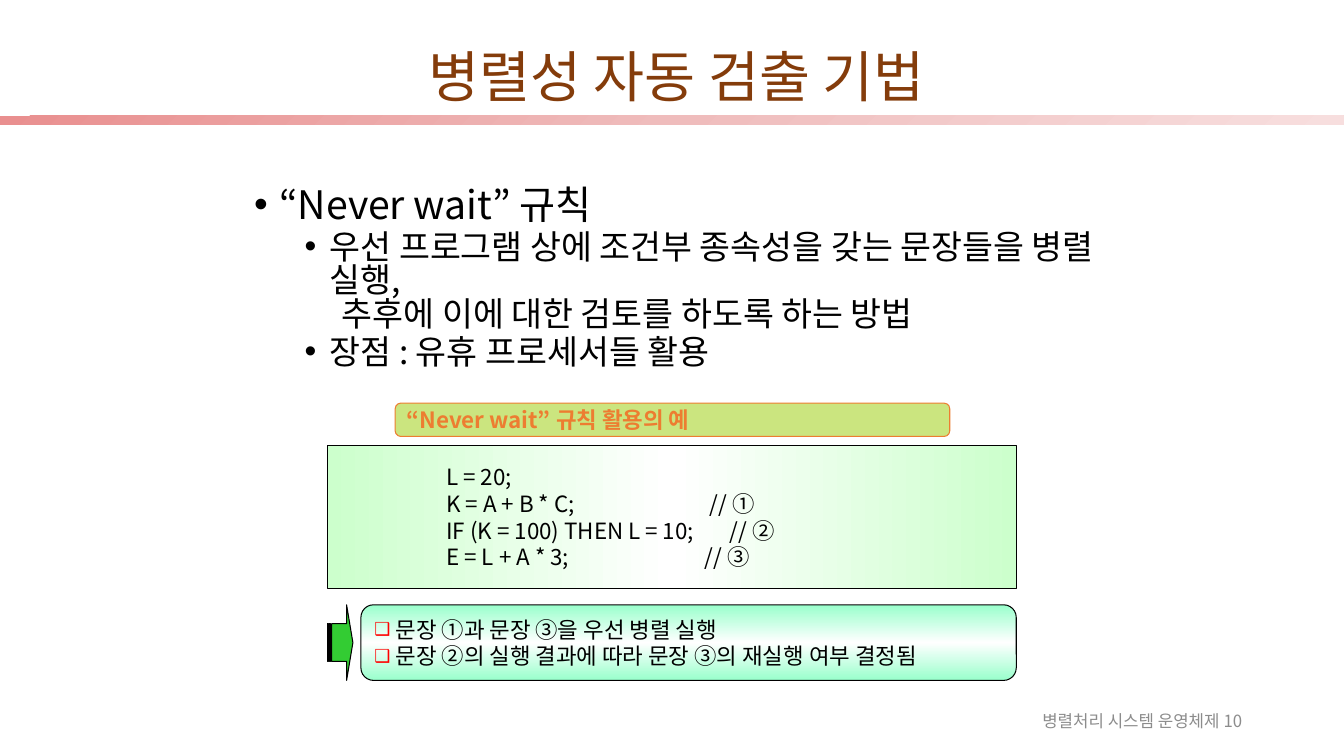
from lxml import etree
from pptx import Presentation
from pptx.dml.color import RGBColor
from pptx.enum.shapes import MSO_SHAPE
from pptx.enum.text import MSO_ANCHOR, MSO_AUTO_SIZE, PP_ALIGN
from pptx.oxml.ns import qn
from pptx.util import Pt

PX = 9144
FONT = "Noto Sans CJK KR"
BLACK = RGBColor(0x00, 0x00, 0x00)
WHITE = RGBColor(0xFF, 0xFF, 0xFF)
BROWN = RGBColor(0x84, 0x3C, 0x0B)
ORANGE = RGBColor(0xED, 0x7D, 0x31)
LIME = RGBColor(0x99, 0xCC, 0x00)
GREEN = RGBColor(0x33, 0xCC, 0x33)
PALE_GREEN = RGBColor(0xCC, 0xFF, 0xCC)
MINT = RGBColor(0x99, 0xFF, 0xCC)
RED = RGBColor(0xFF, 0x00, 0x00)
GRAY = RGBColor(0x8C, 0x8C, 0x8C)
ROSES = (RGBColor(0xE9, 0x8F, 0x8F), RGBColor(0xEF, 0xBC, 0xBC),
         RGBColor(0xF7, 0xDE, 0xDE))
RECTANGLE = MSO_SHAPE.RECTANGLE
ROUNDED = MSO_SHAPE.FLOWCHART_ALTERNATE_PROCESS
STRIPED_ARROW = MSO_SHAPE.STRIPED_RIGHT_ARROW
MIDDLE, TOP = MSO_ANCHOR.MIDDLE, MSO_ANCHOR.TOP
LEFT, CENTER, RIGHT = PP_ALIGN.LEFT, PP_ALIGN.CENTER, PP_ALIGN.RIGHT
NO_FIT = MSO_AUTO_SIZE.NONE


def emu(*lengths):
    return [length * PX for length in lengths]


def place(shape, box):
    shape.left, shape.top, shape.width, shape.height = emu(*box)


def add_child(parent, tag, **attributes):
    return etree.SubElement(parent, qn(tag), attributes)


def add_shape(page, kind, box, line=None):
    shape = page.shapes.add_shape(kind, *emu(*box))
    shape.shadow.inherit = False
    if line is None:
        shape.line.fill.background()
    else:
        shape.line.color.rgb = line
        shape.line.width = Pt(0.75)
    return shape


def fill_solid(shape, color):
    shape.fill.solid()
    shape.fill.fore_color.rgb = color


def fill_gradient(shape, colors, angle):
    shape.fill.gradient()
    gradient = shape._element.spPr.find(qn("a:gradFill"))
    stops = gradient.find(qn("a:gsLst"))
    for stop in list(stops):
        stops.remove(stop)
    for position, color in zip((0, 50000, 100000), colors):
        stop = add_child(stops, "a:gs", pos=str(position))
        add_child(stop, "a:srgbClr", val=str(color))
    gradient.find(qn("a:lin")).set("ang", str(angle * 60000))


def prepare(shape, anchor):
    frame = shape.text_frame
    frame.word_wrap = True
    frame.auto_size = NO_FIT
    frame.vertical_anchor = anchor
    return frame


def next_para(frame, index):
    return frame.add_paragraph() if index else frame.paragraphs[0]


def indent(para, margin, hanging):
    properties = para._p.get_or_add_pPr()
    properties.set("marL", str(margin * PX))
    properties.set("indent", str(-hanging * PX))
    return properties


def add_bullet(para, margin, hanging, mark, color=BLACK, percent=100):
    properties = indent(para, margin, hanging)
    add_child(add_child(properties, "a:buClr"), "a:srgbClr", val=str(color))
    add_child(properties, "a:buSzPct", val=str(percent * 1000))
    add_child(properties, "a:buFont", typeface="Arial")
    add_child(properties, "a:buChar", char=mark)


def add_run(para, text, size, color, bold=False):
    span = para.add_run()
    span.text = text
    span.font.size = Pt(size)
    span.font.bold = bold
    span.font.color.rgb = color
    span.font.name = FONT
    add_child(span._r.get_or_add_rPr(), "a:ea", typeface=FONT)


def add_title(page, box):
    title = page.shapes.title
    place(title, box)
    para = prepare(title, MIDDLE).paragraphs[0]
    para.alignment = CENTER
    para.line_spacing = 0.9
    add_run(para, "병렬성 자동 검출 기법", 39.6, BROWN)


def add_rule_list(page, box):
    body = page.placeholders[1]
    place(body, box)
    frame = prepare(body, TOP)
    items = (
        ("“Never wait” 규칙", 0, 28, 25, True, 0.8),
        ("우선 프로그램 상에 조건부 종속성을 갖는 문장들을 병렬 실행,", 1, 24, 75, True, 0.8),
        ("추후에 이에 대한 검토를 하도록 하는 방법", 1, 24, 87, False, 0.65),
        ("장점 : 유휴 프로세서들 활용", 1, 24, 75, True, 0.8),
    )
    for index, (text, level, size, margin, bulleted, spacing) in enumerate(items):
        para = next_para(frame, index)
        para.level = level
        para.line_spacing = spacing
        para.space_before = Pt(5 if index else 0)
        if bulleted:
            add_bullet(para, margin, 25, "•")
        else:
            add_child(indent(para, margin, 0), "a:buNone")
        add_run(para, text, size, BLACK)


def add_caption(page, box):
    caption = add_shape(page, ROUNDED, box, ORANGE)
    fill_solid(caption, LIME)
    color = caption._element.spPr.find(qn("a:solidFill")).find(qn("a:srgbClr"))
    add_child(color, "a:alpha", val="50000")
    para = prepare(caption, MIDDLE).paragraphs[0]
    para.alignment = LEFT
    add_run(para, "“Never wait” 규칙 활용의 예", 16, ORANGE, True)


def add_code(page, box):
    left, top, width, height = box
    panel = add_shape(page, RECTANGLE, box, BLACK)
    fill_gradient(panel, (PALE_GREEN, WHITE, PALE_GREEN), 0)
    listing = page.shapes.add_textbox(
        *emu(left + 108, top + 8, width - 200, height - 17))
    frame = prepare(listing, MIDDLE)
    lines = (("L = 20;", None, 0), ("K = A + B * C;", "// ①", 261),
             ("IF (K = 100) THEN L = 10;", "// ②", 281),
             ("E = L + A * 3;", "// ③", 256))
    for index, (code, remark, stop) in enumerate(lines):
        para = next_para(frame, index)
        if remark:
            tabs = add_child(para._p.get_or_add_pPr(), "a:tabLst")
            add_child(tabs, "a:tab", pos=str(stop * PX), algn="l")
            code = f"{code}\t{remark}"
        add_run(para, code, 16, BLACK)


def add_conclusion(page, box):
    left, top, width, height = box
    arrow = add_shape(page, STRIPED_ARROW, (left, top, 25, height), BLACK)
    arrow.adjustments[0] = 0.5
    arrow.adjustments[1] = 0.25
    fill_solid(arrow, GREEN)
    panel = add_shape(page, ROUNDED, (left + 33, top, width - 33, height), BLACK)
    fill_gradient(panel, (MINT, WHITE, MINT), 90)
    frame = prepare(panel, MIDDLE)
    results = ("문장 ①과 문장 ③을 우선 병렬 실행",
               "문장 ②의 실행 결과에 따라 문장 ③의 재실행 여부 결정됨")
    for index, text in enumerate(results):
        para = next_para(frame, index)
        para.alignment = LEFT
        add_bullet(para, 21, 21, "❑", RED, 80)
        add_run(para, text, 16, BLACK)


def add_footer(page, box):
    footer = page.shapes.add_textbox(*emu(*box))
    para = prepare(footer, MIDDLE).paragraphs[0]
    para.alignment = RIGHT
    add_run(para, "병렬처리 시스템 운영체제 10", 12, GRAY)


def main():
    deck = Presentation()
    deck.slide_width, deck.slide_height = emu(1333, 750)
    page = deck.slides.add_slide(deck.slide_layouts[1])
    fill_gradient(add_shape(page, RECTANGLE, (0, 115, 1333, 9)), ROSES, 45)
    add_title(page, (60, 48, 1222, 61))
    add_rule_list(page, (242, 183, 875, 208))
    add_caption(page, (392, 400, 550, 33))
    add_code(page, (325, 442, 683, 142))
    add_conclusion(page, (325, 600, 683, 75))
    add_footer(page, (942, 695, 300, 40))
    deck.save("out.pptx")


if __name__ == "__main__":
    main()
